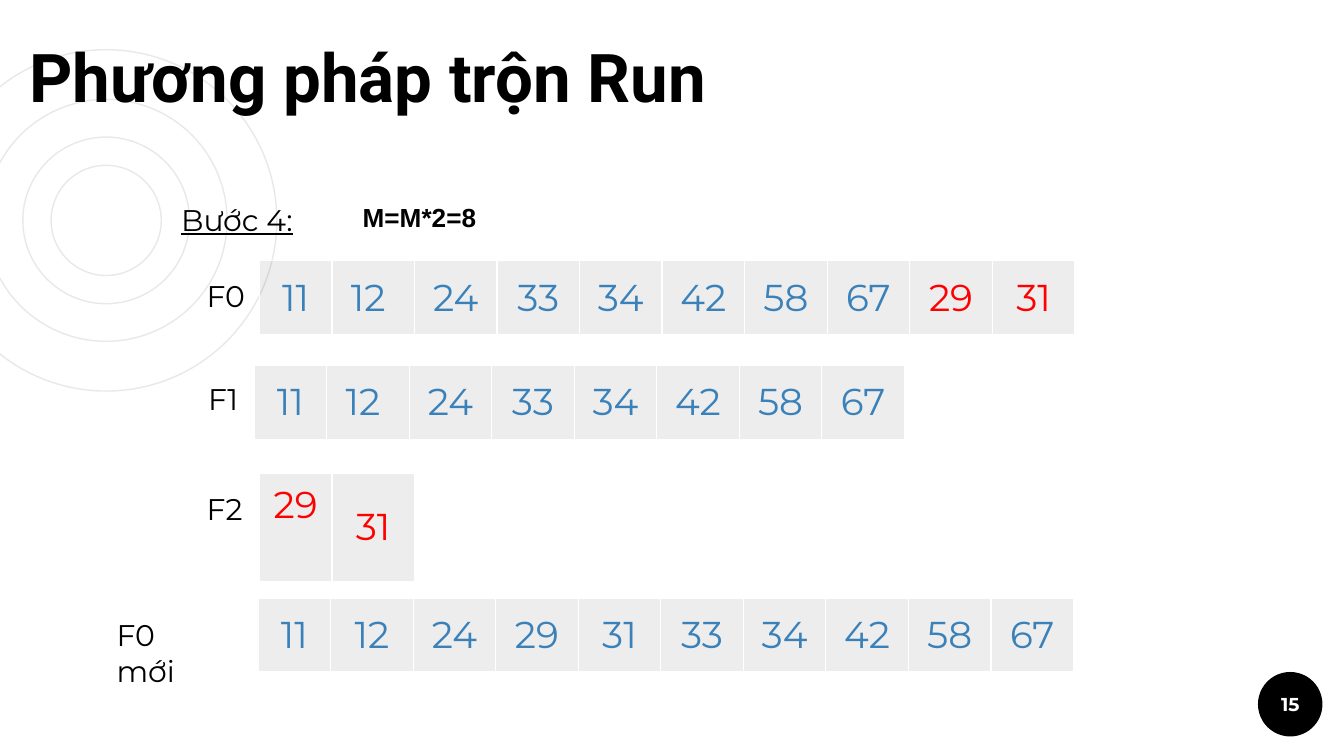
"""Build the slide on step 4 of the run merge method."""
from dataclasses import dataclass

from lxml.etree import SubElement
from pptx import Presentation
from pptx.dml.color import RGBColor
from pptx.enum.shapes import MSO_SHAPE
from pptx.enum.text import MSO_ANCHOR, PP_ALIGN
from pptx.oxml import parse_xml
from pptx.oxml.ns import nsdecls, qn
from pptx.util import Inches, Pt


@dataclass(frozen=True)
class Theme:
    black: str = "000000"
    white: str = "FFFFFF"
    ring: str = "E8E8E8"
    first_run: str = "3A81BA"
    second_run: str = "FF0000"
    cell_opacity: int = 7
    hairline: float = 0.75
    heading_font: str = "Roboto"
    body_font: str = "Montserrat"
    formula_font: str = "Arial"
    title_size: int = 36
    value_size: int = 20
    label_size: int = 16
    formula_size: int = 14
    page_size: int = 10


theme = Theme()


def style(paragraph, font_name, size, color, bold=False):
    font = paragraph.font
    font.name, font.size, font.bold = font_name, Pt(size), bold
    font.color.rgb = RGBColor.from_string(color)


def add_file(left, top, height, values, red_values=()):
    widths = [first_width] + [value_width] * (len(values) - 1)
    table = slide.shapes.add_table(
        1, len(values), Inches(left), Inches(top), Inches(sum(widths)), Inches(height)
    ).table
    table.first_row = table.horz_banding = False
    for column, width in zip(table.columns, widths):
        column.width = Inches(width)
    for cell, value in zip(table.rows[0].cells, values):
        cell.text = value
        cell.vertical_anchor = MSO_ANCHOR.MIDDLE
        cell.margin_left = cell.margin_right = Inches(0.1)
        cell.margin_top = cell.margin_bottom = Inches(0.07)
        paragraph = cell.text_frame.paragraphs[0]
        paragraph.alignment = PP_ALIGN.CENTER
        color = theme.second_run if value in red_values else theme.first_run
        style(paragraph, theme.body_font, theme.value_size, color)
        cell.fill.solid()
        cell.fill.fore_color.rgb = RGBColor.from_string(theme.black)
        properties = cell._tc.tcPr
        tint = properties.find(".//" + qn("a:srgbClr"))
        SubElement(tint, qn("a:alpha"), val=str(theme.cell_opacity * 1000))
        for position, side in enumerate(("lnL", "lnR", "lnT", "lnB")):
            properties.insert(position, parse_xml(
                f'<a:{side} {nsdecls("a")} w="{Pt(theme.hairline)}"><a:solidFill>'
                f'<a:srgbClr val="{theme.white}"/></a:solidFill></a:{side}>'))
    return table


presentation = Presentation()
presentation.slide_width = Inches(10)
presentation.slide_height = Inches(10 * 9 / 16)
slide = presentation.slides.add_slide(presentation.slide_layouts[5])

ring_x, ring_y = 0.79, 1.64
for diameter in (2.54, 1.24, 1.8, 0.82):
    ring = slide.shapes.add_shape(
        MSO_SHAPE.OVAL, Inches(ring_x - diameter / 2), Inches(ring_y - diameter / 2),
        Inches(diameter), Inches(diameter))
    ring.shadow.inherit = False
    ring.fill.background()
    ring.line.color.rgb = RGBColor.from_string(theme.ring)
    ring.line.width = Pt(theme.hairline)

page = slide.shapes.add_shape(
    MSO_SHAPE.OVAL, Inches(9.36), Inches(5), Inches(0.48), Inches(0.48))
page.shadow.inherit = False
page.fill.solid()
page.fill.fore_color.rgb = RGBColor.from_string(theme.black)
page.line.fill.background()
number = page.text_frame
number.text = "15"
number.word_wrap = False
number.vertical_anchor = MSO_ANCHOR.MIDDLE
number.margin_left = number.margin_right = Inches(0.1)
number.margin_top = number.margin_bottom = Inches(0.1)
number.paragraphs[0].alignment = PP_ALIGN.CENTER
style(number.paragraphs[0], theme.body_font, theme.page_size, theme.white, bold=True)

first_width = 0.54
value_width = (6.07 - first_width) / 9
long_run = ["11", "12 ", "24", "33", "34", "42", "58", "67"]
short_run = ["29", "31"]
merged = sorted(value.strip() for value in long_run + short_run)

add_file(1.93, 1.94, 0.55, long_run + short_run, short_run)
add_file(1.92, 4.45, 0.55, merged)
short_file = add_file(1.93, 3.52, 0.81, short_run, short_run)
short_file.cell(0, 0).vertical_anchor = MSO_ANCHOR.TOP
add_file(1.89, 2.72, 0.55, long_run)

labels = [
    ("Bước 4:", 1.25, 1.45, 1.05),
    ("F0 ", 1.44, 2.02, 0.96),
    ("F1 ", 1.45, 2.78, 0.96),
    ("F2 ", 1.44, 3.6, 0.96),
    ("F0 mới", 0.77, 4.54, 0.96),
]
for text, left, top, width in labels:
    label = slide.shapes.add_textbox(
        Inches(left), Inches(top), Inches(width), Inches(0.37)).text_frame
    label.word_wrap = True
    label.text = text
    style(label.paragraphs[0], theme.body_font, theme.label_size, theme.black)
    label.paragraphs[0].font.underline = text.endswith(":")

formula = slide.shapes.add_textbox(
    Inches(2.6), Inches(1.45), Inches(1.05), Inches(0.57)).text_frame
formula.word_wrap = False
formula.text = "M=M*2=8"
style(formula.paragraphs[0], theme.formula_font, theme.formula_size, theme.black, bold=True)

title = slide.shapes.title
title.left, title.top, title.width, title.height = map(Inches, (0.12, 0.21, 6.31, 0.75))
title.text = "Phương pháp trộn Run"
heading = title.text_frame
heading.vertical_anchor = MSO_ANCHOR.BOTTOM
heading.margin_top = heading.margin_bottom = Inches(0.1)
heading.margin_left = heading.margin_right = Inches(0.1)
heading.paragraphs[0].alignment = PP_ALIGN.LEFT
style(heading.paragraphs[0], theme.heading_font, theme.title_size, theme.black, bold=True)
title._element.getparent().append(title._element)

presentation.save("out.pptx")
